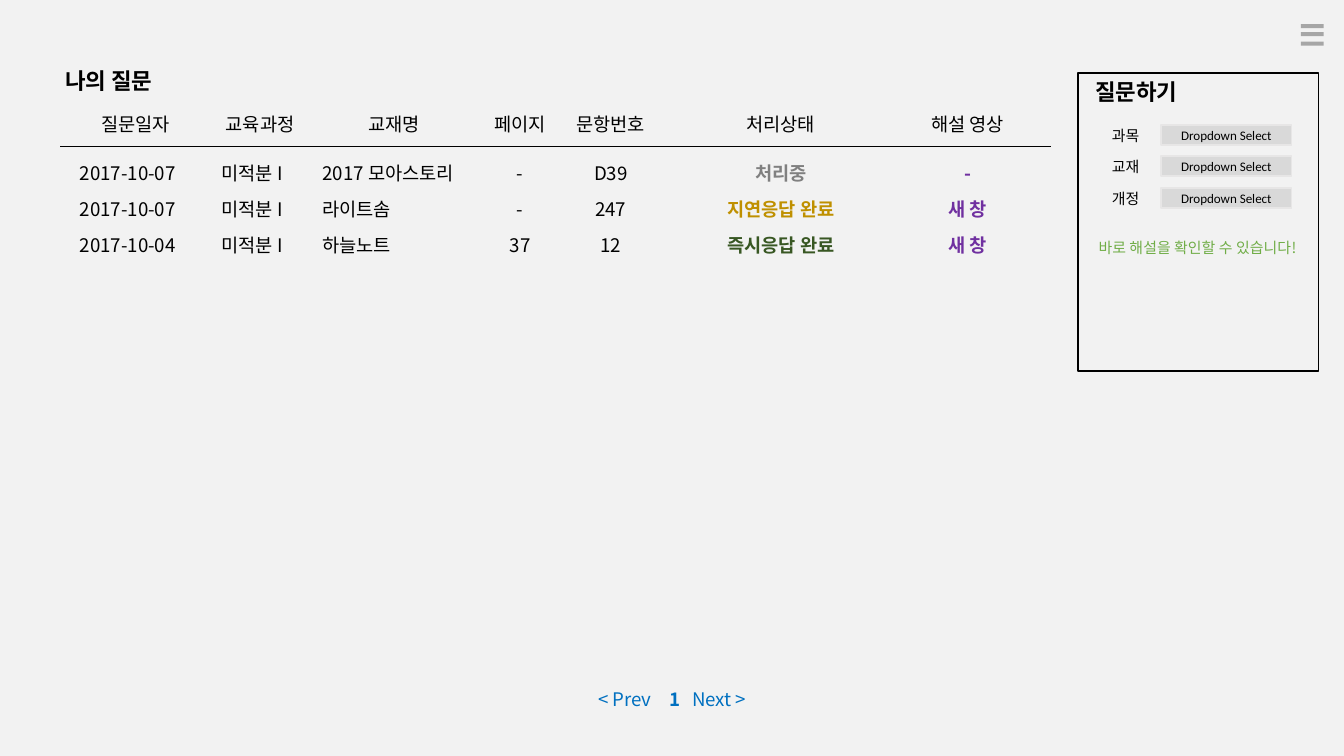
from dataclasses import dataclass

from lxml import etree
from pptx import Presentation
from pptx.dml.color import RGBColor
from pptx.enum.shapes import MSO_CONNECTOR, MSO_SHAPE
from pptx.enum.text import MSO_ANCHOR, MSO_AUTO_SIZE, PP_ALIGN
from pptx.oxml.ns import qn
from pptx.util import Inches, Pt

RECT, LINE = MSO_SHAPE.RECTANGLE, MSO_CONNECTOR.STRAIGHT
LEFT, CENTER = PP_ALIGN.LEFT, PP_ALIGN.CENTER
TOP, MIDDLE = MSO_ANCHOR.TOP, MSO_ANCHOR.MIDDLE
NO_FIT = MSO_AUTO_SIZE.NONE
NO_STYLE = "{2D5ABB26-0587-4C30-8999-92F81FD0307C}"


@dataclass(frozen=True)
class Theme:
    """Fonts, type sizes and colours of the slide."""
    korean: str = "Noto Sans CJK KR"
    latin: str = "Calibri"
    heading: int = 12
    body: int = 10
    label: int = 8
    button: int = 7
    page: str = "F2F2F2"
    ink: str = "000000"
    icon: str = "A6A6A6"
    field: str = "D9D9D9"
    field_edge: str = "E7E6E6"
    hint: str = "70AD47"
    link: str = "0070C0"
    video: str = "7030A0"
    pending: str = "808080"
    delayed: str = "BF9000"
    instant: str = "385723"


T = Theme()


@dataclass(frozen=True)
class Column:
    """A table column; shift moves its header text to the right."""
    header: str
    width: float
    align: PP_ALIGN = CENTER
    shift: float = 0


@dataclass(frozen=True)
class Question:
    """One row of the question list."""
    values: tuple
    status_color: str


@dataclass(frozen=True)
class Field:
    """A labelled dropdown in the side panel."""
    label: str
    top: float


COLUMNS = (
    Column("질문일자", 1.0, shift=0.12),
    Column("교육과정", 0.85, shift=0.12),
    Column("교재명", 1.26, LEFT),
    Column("페이지", 0.62),
    Column("문항번호", 0.73),
    Column("처리상태", 1.8),
    Column("해설 영상", 0.98),
)
QUESTIONS = (
    Question(("2017-10-07", "미적분 I", "2017 모아스토리", "-", "D39",
              "처리중", "-"), T.pending),
    Question(("2017-10-07", "미적분 I", "라이트솜", "-", "247",
              "지연응답 완료", "새 창"), T.delayed),
    Question(("2017-10-04", "미적분 I", "하늘노트", "37", "12",
              "즉시응답 완료", "새 창"), T.instant),
)
FIELDS = (Field("과목", 0.89), Field("교재", 1.12), Field("개정", 1.36))


def add_run(p, text: str, size: int, color: str = T.ink, bold: bool = False,
            font: str = T.korean) -> None:
    """Add a formatted run, with the same font for Latin and Korean."""
    r = p.add_run()
    r.text = text
    for name, value in {"name": font, "size": Pt(size), "bold": bold}.items():
        setattr(r.font, name, value)
    r.font.color.rgb = RGBColor.from_string(color)
    latin = r.font._element.find(qn("a:latin"))
    ea = etree.Element(qn("a:ea"), typeface=font)
    latin.addnext(ea)


def place(sp, left: float, top: float, width: float, height: float) -> None:
    """Set position and size in inches."""
    box = {"left": left, "top": top, "width": width, "height": height}
    for name, value in box.items():
        setattr(sp, name, Inches(value))


def set_text(sp, text: str, size: int, wrap: bool = True,
             anchor: MSO_ANCHOR = TOP, **style):
    """Write one centred paragraph into a shape."""
    tf = sp.text_frame
    options = {"word_wrap": wrap, "auto_size": NO_FIT, "vertical_anchor": anchor}
    for name, value in options.items():
        setattr(tf, name, value)
    p = tf.paragraphs[0]
    p.alignment = CENTER
    add_run(p, text, size, **style)
    return tf


def add_text(s, box: tuple, text: str, size: int, **style):
    """Add a text box."""
    sp = s.shapes.add_textbox(*map(Inches, box))
    return set_text(sp, text, size, **style)


def add_rect(shapes, box: tuple, fill: str, line: str = ""):
    """Add a flat rectangle, outlined if a line colour is given."""
    sp = shapes.add_shape(RECT, *map(Inches, box))
    sp.shadow.inherit = False
    sp.fill.solid()
    sp.fill.fore_color.rgb = RGBColor.from_string(fill)
    if line:
        sp.line.color.rgb = RGBColor.from_string(line)
        sp.line.width = Pt(1)
    else:
        sp.line.fill.background()
    return sp


def set_cell(cell, text: str, align: PP_ALIGN, shift: float = 0, **style) -> None:
    """Fill one table cell."""
    margins = {"margin_left": 0.1 + shift, "margin_right": 0.1,
               "margin_top": 0.03, "margin_bottom": 0.02}
    for name, value in margins.items():
        setattr(cell, name, Inches(value))
    cell.vertical_anchor = TOP
    cell.fill.background()
    p = cell.text_frame.paragraphs[0]
    p.alignment = align
    add_run(p, text, T.body, **style)


def add_questions(s) -> None:
    """Draw the question table and the rule under its header."""
    width = sum(c.width for c in COLUMNS)
    table = s.shapes.add_table(
        len(QUESTIONS) + 1, len(COLUMNS), Inches(0.45), Inches(0.79),
        Inches(width), Inches(1.17)).table
    table.first_row = table.horz_banding = False
    table._tbl.tblPr.find(qn("a:tableStyleId")).text = NO_STYLE
    for i, row in enumerate(table.rows):
        row.height = Inches(0.27 if i else 0.36)
    for j, col in enumerate(COLUMNS):
        table.columns[j].width = Inches(col.width)
        set_cell(table.cell(0, j), col.header, CENTER, col.shift)
        for i, question in enumerate(QUESTIONS, 1):
            color = {5: question.status_color, 6: T.video}.get(j, T.ink)
            set_cell(table.cell(i, j), question.values[j], col.align,
                     color=color, bold=j >= 5)
    rule = s.shapes.add_connector(
        LINE, Inches(0.45), Inches(1.09), Inches(7.82), Inches(1.09))
    rule.line.color.rgb = RGBColor.from_string(T.ink)
    rule.line.width = Pt(1)
    etree.SubElement(rule._element.spPr, qn("a:effectLst"))


def add_panel(s) -> None:
    """Draw the side panel for asking a question."""
    add_rect(s.shapes, (8.02, 0.54, 1.79, 2.22), T.page, T.ink)
    add_text(s, (8.04, 0.53, 0.83, 0.3), "질문하기", T.heading,
             wrap=False, bold=True)
    for field in FIELDS:
        add_text(s, (8.17, field.top, 0.41, 0.24), field.label, T.label, wrap=False)
        sp = add_rect(s.shapes, (8.64, field.top + 0.04, 0.97, 0.15),
                      T.field, T.field_edge)
        set_text(sp, "Dropdown Select", T.button, anchor=MIDDLE, font=T.latin)
    add_text(s, (7.99, 1.73, 1.84, 0.24), "바로 해설을 확인할 수 있습니다!",
             T.label, color=T.hint)


def add_pager(s) -> None:
    """Draw the page links, spaced by tab stops."""
    tf = add_text(s, (3.99, 5.07, 2.02, 0.27), "< Prev\t", T.body, color=T.link)
    tf.margin_left = Inches(0.46)
    p = tf.paragraphs[0]
    p.alignment = LEFT
    add_run(p, "1\t", T.body, T.link, bold=True)
    add_run(p, "Next >", T.body, T.link)
    tabs = etree.SubElement(p._p.get_or_add_pPr(), qn("a:tabLst"))
    for stop in (0.53, 0.7):
        etree.SubElement(tabs, qn("a:tab"), pos=str(Inches(stop)), algn="l")


def main() -> None:
    """Build the slide."""
    prs = Presentation()
    prs.slide_width = Inches(10)
    prs.slide_height = prs.slide_width * 9 // 16
    s = prs.slides.add_slide(prs.slide_layouts[5])
    s.background.fill.solid()
    s.background.fill.fore_color.rgb = RGBColor.from_string(T.page)
    place(s.shapes.title, 0.37, 0.45, 0.88, 0.3)
    set_text(s.shapes.title, "나의 질문", T.heading, wrap=False, bold=True)
    menu = s.shapes.add_group_shape()
    for top in (0.18, 0.24, 0.31):
        add_rect(menu.shapes, (9.68, top, 0.17, 0.03), T.icon)
    add_questions(s)
    add_panel(s)
    add_pager(s)
    prs.save("out.pptx")


main()
